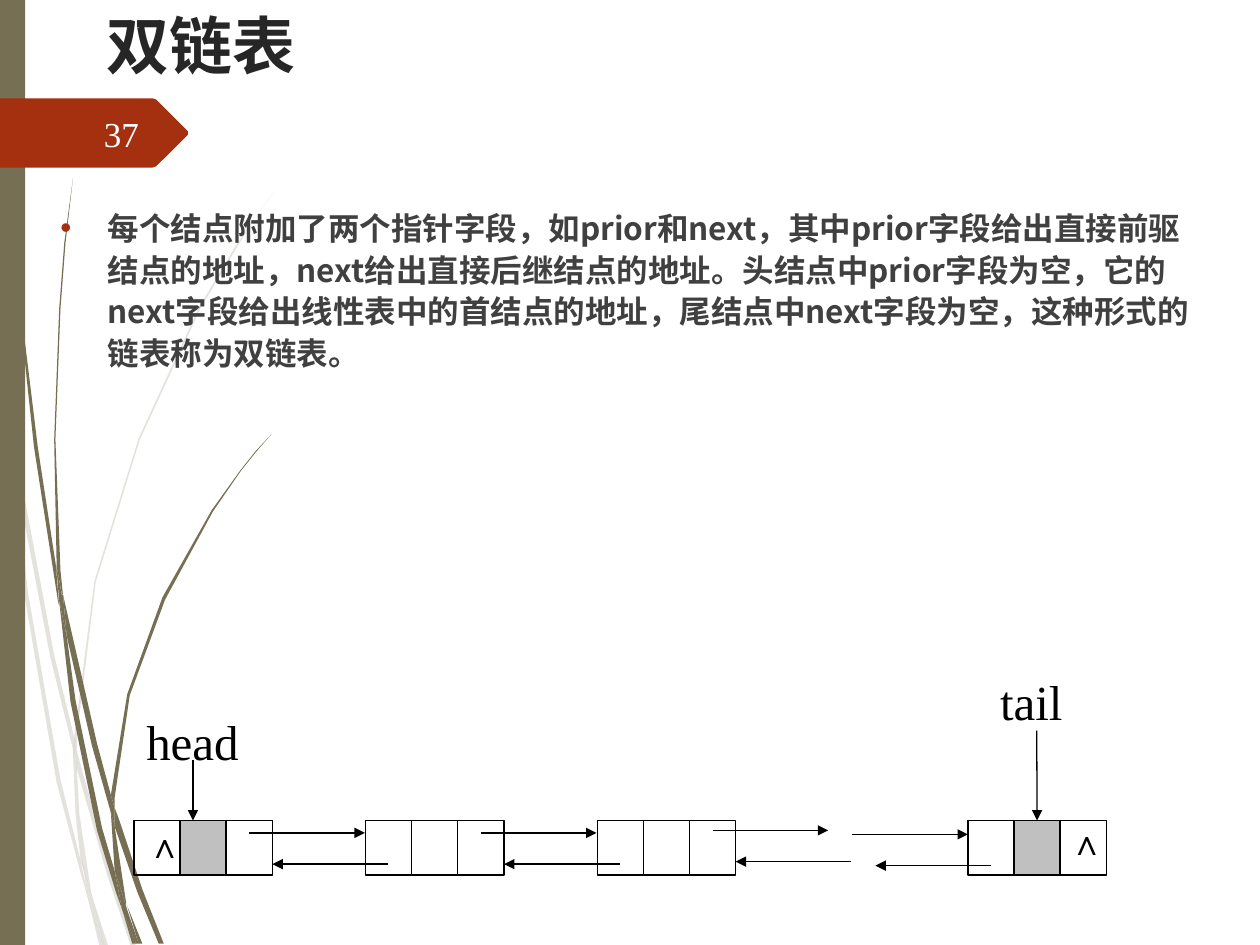
import lxml.etree
import pptx
import pptx.dml.color
import pptx.enum.shapes
import pptx.enum.text
import pptx.oxml.ns
import pptx.util

Cm = pptx.util.Cm
Pt = pptx.util.Pt
SHAPE = pptx.enum.shapes.MSO_SHAPE
ANCHOR = pptx.enum.text.MSO_ANCHOR
ALIGN = pptx.enum.text.PP_ALIGN
qn = pptx.oxml.ns.qn


class Theme:
    olive, rust, grey = "766F54", "A53010", "C0C0C0"
    black, white, title_ink, body_ink = "000000", "FEFFFF", "262626", "404040"
    title_font, body_font, serif = "Quicksand", "Noto Sans CJK SC", "Times New Roman"
    title_size, label_size, small_size, body_size = 36, 28, 20, 18
    leading = 23.8
    line = 0.75


# Outlines in hundredths of an inch
PALE_STRANDS = [
    [(8, 350), (6, 322), (0, 282), (0, 299), (7, 344)],
    [(40, 522), (59, 599), (59, 586), (43, 520), (10, 345), (12, 376)],
    [(64, 607), (61, 596), (61, 610), (85, 694), (104, 751), (108, 751), (88, 692)],
    [(83, 751), (86, 751), (73, 711)],
    [(64, 683), (48, 619), (22, 469), (12, 376), (8, 350), (19, 470), (45, 621),
     (64, 693), (70, 714), (69, 707)],
    [(58, 599), (60, 646), (64, 683), (67, 692), (73, 711), (72, 706), (63, 646),
     (61, 610), (61, 608)],
    [(61, 584), (76, 462), (111, 349), (159, 245), (187, 198), (201, 175), (217, 153),
     (201, 175), (186, 197), (158, 244), (110, 348), (75, 461), (59, 584), (59, 586),
     (61, 596)],
    [(70, 714), (79, 751), (82, 751)],
    [(61, 608), (61, 610), (61, 596), (59, 586), (58, 599)],
    [(67, 692), (65, 683), (69, 707), (70, 714), (82, 751), (83, 751), (73, 711)],
]
DARK_STRANDS = [
    [(5, 110), (14, 233), (27, 355), (46, 477), (47, 481), (45, 457), (45, 453),
     (30, 355), (15, 232), (6, 109), (4, 48), (3, 0), (2, 0), (3, 48)],
    [(73, 592), (88, 645), (88, 633), (88, 631), (77, 590), (50, 472), (53, 505)],
    [(94, 649), (91, 641), (91, 656), (109, 708), (126, 749), (130, 749), (113, 706)],
    [(91, 691), (81, 657), (60, 556), (53, 505), (47, 477), (56, 557), (77, 659),
     (92, 708), (97, 722), (96, 717)],
    [(50, 472), (48, 453), (44, 349), (48, 245), (52, 193), (58, 141), (51, 193),
     (47, 245), (43, 349), (45, 449), (49, 471)],
    [(110, 749), (113, 749), (101, 719)],
    [(47, 477), (53, 505), (50, 472), (49, 472), (45, 449), (45, 453)],
    [(91, 633), (103, 552), (131, 476), (169, 406), (191, 374), (203, 359), (216, 344),
     (203, 358), (191, 373), (168, 405), (129, 474), (101, 551), (88, 631), (91, 641)],
    [(97, 722), (105, 749), (108, 749)],
    [(88, 645), (91, 691), (96, 706), (100, 719), (100, 716), (91, 656), (90, 651)],
    [(88, 645), (90, 651), (91, 656), (91, 641), (88, 631), (88, 633)],
    [(96, 706), (91, 691), (96, 717), (97, 722), (108, 749), (110, 749), (100, 719)],
]
PAGE_TAG = [(0, 78), (121, 78), (124, 79), (149, 104), (149, 107), (124, 132),
            (121, 133), (0, 133)]

BODY = ("每个结点附加了两个指针字段，如prior和next，其中prior字段给出直接前驱结点的地址，"
        "next给出直接后继结点的地址。头结点中prior字段为空，它的next字段给出线性表中的首结点的地址，"
        "尾结点中next字段为空，这种形式的链表称为双链表。")

NODE_LEFT, NODE_TOP, NODE_PITCH = 2.7, 16.54, 4.67
CELL_W, CELL_H = 0.93, 1.1
ARROW = 2.33


def rgb(color):
    return pptx.dml.color.RGBColor.from_string(color)


class SlideBuilder:
    def __init__(self, slide, theme):
        self.s, self.theme = slide, theme

    def paint(self, sp, fill, opacity=None):
        sp.shadow.inherit = False
        if fill is None:
            sp.fill.background()
        else:
            sp.fill.solid()
            sp.fill.fore_color.rgb = rgb(fill)
        if opacity is not None:
            color = sp.fill._xPr.find(".//" + qn("a:srgbClr"))
            lxml.etree.SubElement(color, qn("a:alpha"), val=str(opacity * 1000))
        sp.line.fill.background()

    def outline(self, points, fill, opacity=None):
        builder = self.s.shapes.build_freeform(*points[0], scale=Cm(2.54) / 100)
        builder.add_line_segments(points[1:], close=True)
        self.paint(builder.convert_to_shape(), fill, opacity)

    def rect(self, x, y, w, h, fill=None, line=None):
        sp = self.s.shapes.add_shape(SHAPE.RECTANGLE, Cm(x), Cm(y), Cm(w), Cm(h))
        self.paint(sp, fill)
        if line:
            sp.line.color.rgb = rgb(line)
            sp.line.width = Pt(self.theme.line)
        return sp

    def arrow(self, x1, y1, x2, y2, target=None):
        """Arrow to (x2, y2), joined to the top of target if one is given."""
        sp = self.s.shapes.add_connector(
            pptx.enum.shapes.MSO_CONNECTOR.STRAIGHT, Cm(x1), Cm(y1), Cm(x2), Cm(y2))
        if target is not None:
            sp.end_connect(target, 0)
        sp.line.color.rgb = rgb(self.theme.black)
        sp.line.width = Pt(self.theme.line)
        lxml.etree.SubElement(sp.line._get_or_add_ln(), qn("a:tailEnd"), type="triangle")
        lxml.etree.SubElement(sp._element.spPr, qn("a:effectLst"))

    def text(self, x, y, w, h, text, size, font, color, bold=False, align=ALIGN.LEFT,
             anchor=ANCHOR.TOP, tight=False):
        """Text box; a tight one has no margins and does not wrap."""
        tf = self.s.shapes.add_textbox(Cm(x), Cm(y), Cm(w), Cm(h)).text_frame
        tf.word_wrap = not tight
        tf.vertical_anchor = anchor
        if tight:
            tf.margin_left = tf.margin_top = tf.margin_right = tf.margin_bottom = 0
        tf.text = text
        p = tf.paragraphs[0]
        p.alignment = align
        r = p.runs[0]
        r.font.size, r.font.bold, r.font.name = Pt(size), bold, font
        r.font.color.rgb = rgb(color)
        lxml.etree.SubElement(r.font._element, qn("a:ea"), typeface=font)
        return p

    def bullet(self, p, color, indent):
        pPr = p._p.get_or_add_pPr()
        pPr.set("marL", str(Cm(indent)))
        pPr.set("indent", str(-Cm(indent)))
        holder = lxml.etree.SubElement(pPr, qn("a:buClr"))
        lxml.etree.SubElement(holder, qn("a:srgbClr"), val=color)
        lxml.etree.SubElement(pPr, qn("a:buFont"), typeface="Arial")
        lxml.etree.SubElement(pPr, qn("a:buChar"), char="•")

    def node(self, x, shaded):
        """Three-cell list node; returns its middle cell."""
        cells = [self.rect(x + i * CELL_W, NODE_TOP, CELL_W, CELL_H,
                           self.theme.grey if shaded and i == 1 else None,
                           self.theme.black) for i in range(3)]
        return cells[1]


def main():
    t = Theme
    prs = pptx.Presentation()
    prs.slide_width, prs.slide_height = Cm(25.4), Cm(19.05)
    b = SlideBuilder(prs.slides.add_slide(prs.slide_layouts[6]), t)

    for strand in PALE_STRANDS:
        b.outline(strand, t.olive, 20)
    for strand in DARK_STRANDS:
        b.outline(strand, t.olive)
    b.rect(0, 0, 0.51, 19.05, t.olive)
    b.outline(PAGE_TAG, t.rust)

    b.text(1.9, 0, 21.6, 3.18, "双链表", t.title_size, t.title_font, t.title_ink, bold=True)
    p = b.text(0.97, 4.01, 23.47, 10.8, BODY, t.body_size, t.body_font, t.body_ink, bold=True)
    p.line_spacing = Pt(t.leading)
    b.bullet(p, t.rust, 0.95)
    b.text(1.42, 2.18, 1.63, 1.02, "37", t.small_size, t.serif, t.white,
           align=ALIGN.RIGHT, anchor=ANCHOR.MIDDLE)

    # The last node stands further off, after a gap for the omitted ones
    lefts = [NODE_LEFT + NODE_PITCH * i for i in (0, 1, 2, 3.6)]
    middles = [b.node(x, shaded=x in (lefts[0], lefts[-1])) for x in lefts]

    next_starts = [x + 2.5 * CELL_W for x in lefts[:3]] + [lefts[3] - ARROW]
    for x, shift in zip(next_starts, (0, 0, -0.05, 0.03)):
        b.arrow(x, 16.79 + shift, x + ARROW, 16.79 + shift)
        b.arrow(x + 1.2 * ARROW, 17.42 + shift, x + 0.2 * ARROW, 17.42 + shift)

    b.text(2.7, 14.22, 2.8, 1.45, "head", t.label_size, t.serif, t.black)
    b.arrow(3.89, 15.32, 3.89, NODE_TOP)
    b.text(19.91, 13.42, 3, 1.45, "tail", t.label_size, t.serif, t.black)
    b.arrow(20.9, 14.73, 20.9, NODE_TOP, middles[-1])
    for x, y in ((2.97, 16.61), (21.56, 16.54)):
        b.text(x, y, 0.58, 0.84, "∧", t.small_size, t.serif, t.black, bold=True, tight=True)

    prs.save("out.pptx")


if __name__ == "__main__":
    main()
